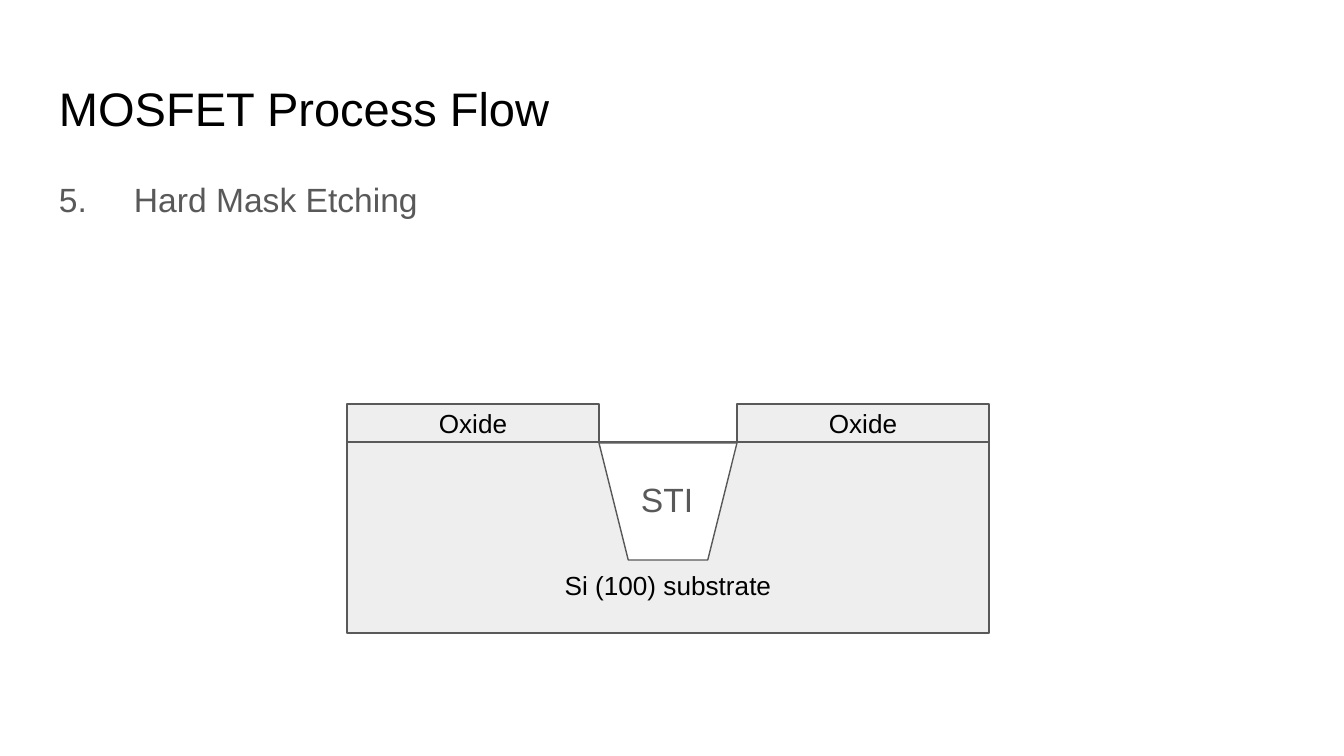
from dataclasses import dataclass

from lxml.etree import SubElement
from pptx import Presentation
from pptx.dml.color import RGBColor
from pptx.enum.shapes import MSO_SHAPE
from pptx.enum.text import MSO_ANCHOR, MSO_AUTO_SIZE, PP_ALIGN
from pptx.oxml.ns import qn
from pptx.util import Emu, Pt


@dataclass(frozen=True)
class Theme:
    font: str = "Arial"
    ink: str = "000000"
    grey: str = "595959"
    layer: str = "EEEEEE"
    trench: str = "FFFFFF"
    title_size: float = 25.2
    body_size: float = 18
    label_size: float = 14
    outline: float = 0.75
    inset: int = 13


class SlideBuilder:
    """Draws themed elements on one slide, with lengths in px."""

    SCALE = 914400 / 134.4

    def __init__(self, presentation, theme):
        self.theme = theme
        presentation.slide_width = self.px(1344)
        presentation.slide_height = self.px(756)
        self.slide = presentation.slides.add_slide(presentation.slide_layouts[1])

    def px(self, length):
        return Emu(round(length * self.SCALE))

    def place(self, shape, box):
        shape.left, shape.top, shape.width, shape.height = map(self.px, box)

    def set_text(self, shape, text, size, color, align=PP_ALIGN.LEFT,
                 anchor=MSO_ANCHOR.TOP, wrap=True, bottom=None):
        frame = shape.text_frame
        frame.auto_size = MSO_AUTO_SIZE.NONE
        frame.word_wrap = wrap
        frame.vertical_anchor = anchor
        inset = self.px(self.theme.inset)
        frame.margin_left = frame.margin_right = frame.margin_top = inset
        frame.margin_bottom = inset if bottom is None else self.px(bottom)
        frame.text = text
        paragraph = frame.paragraphs[0]
        paragraph.alignment = align
        paragraph.font.name = self.theme.font
        paragraph.font.size = Pt(size)
        paragraph.font.color.rgb = RGBColor.from_string(color)
        return paragraph

    def title(self, text, box):
        shape = self.slide.shapes.title
        self.place(shape, box)
        self.set_text(shape, text, self.theme.title_size, self.theme.ink)

    def step(self, number, text, box, indent):
        shape = self.slide.placeholders[1]
        self.place(shape, box)
        paragraph = self.set_text(shape, f"{number}.\t{text}",
                                  self.theme.body_size, self.theme.grey)
        paragraph.line_spacing = 1.15
        paragraph.space_before = Pt(0)
        paragraph.space_after = Pt(12)
        properties = paragraph._p.get_or_add_pPr()
        properties.set("marL", str(self.px(indent)))
        properties.set("indent", str(-self.px(indent)))
        bullet = SubElement(properties, qn("a:buNone"))
        properties.remove(bullet)
        properties.insert_element_before(bullet, "a:tabLst", "a:defRPr", "a:extLst")

    def block(self, kind, box, fill):
        shape = self.slide.shapes.add_shape(kind, *map(self.px, box))
        shape.shadow.inherit = False
        shape.fill.solid()
        shape.fill.fore_color.rgb = RGBColor.from_string(fill)
        shape.line.color.rgb = RGBColor.from_string(self.theme.grey)
        shape.line.width = Pt(self.theme.outline)
        return shape

    def layer(self, text, box, anchor=MSO_ANCHOR.MIDDLE, bottom=None):
        shape = self.block(MSO_SHAPE.RECTANGLE, box, self.theme.layer)
        self.set_text(shape, text, self.theme.label_size, self.theme.ink,
                      PP_ALIGN.CENTER, anchor, bottom=bottom)

    def trench(self, box):
        shape = self.block(MSO_SHAPE.TRAPEZOID, box, self.theme.trench)
        shape.adjustments[0] = 0.25
        shape.rotation = 180

    def label(self, text, box):
        shape = self.slide.shapes.add_textbox(*map(self.px, box))
        self.set_text(shape, text, self.theme.body_size, self.theme.grey, wrap=False)


def main():
    presentation = Presentation()
    builder = SlideBuilder(presentation, Theme())
    builder.title("MOSFET Process Flow", (46, 66, 1253, 85))
    builder.step(5, "Hard Mask Etching", (46, 160, 1253, 502), indent=75)

    left, surface, width = 347, 442, 642
    oxide_width, oxide_height = 252, 38
    builder.layer("Si (100) substrate", (left, surface, width, 191),
                  MSO_ANCHOR.BOTTOM, bottom=32)
    for oxide_left in (left, left + width - oxide_width):
        builder.layer("Oxide", (oxide_left, surface - oxide_height,
                                oxide_width, oxide_height))
    builder.trench((left + oxide_width, surface + 1, width - 2 * oxide_width, 117))
    builder.label("STI", (628, 466, 79, 39))
    presentation.save("out.pptx")


if __name__ == "__main__":
    main()
